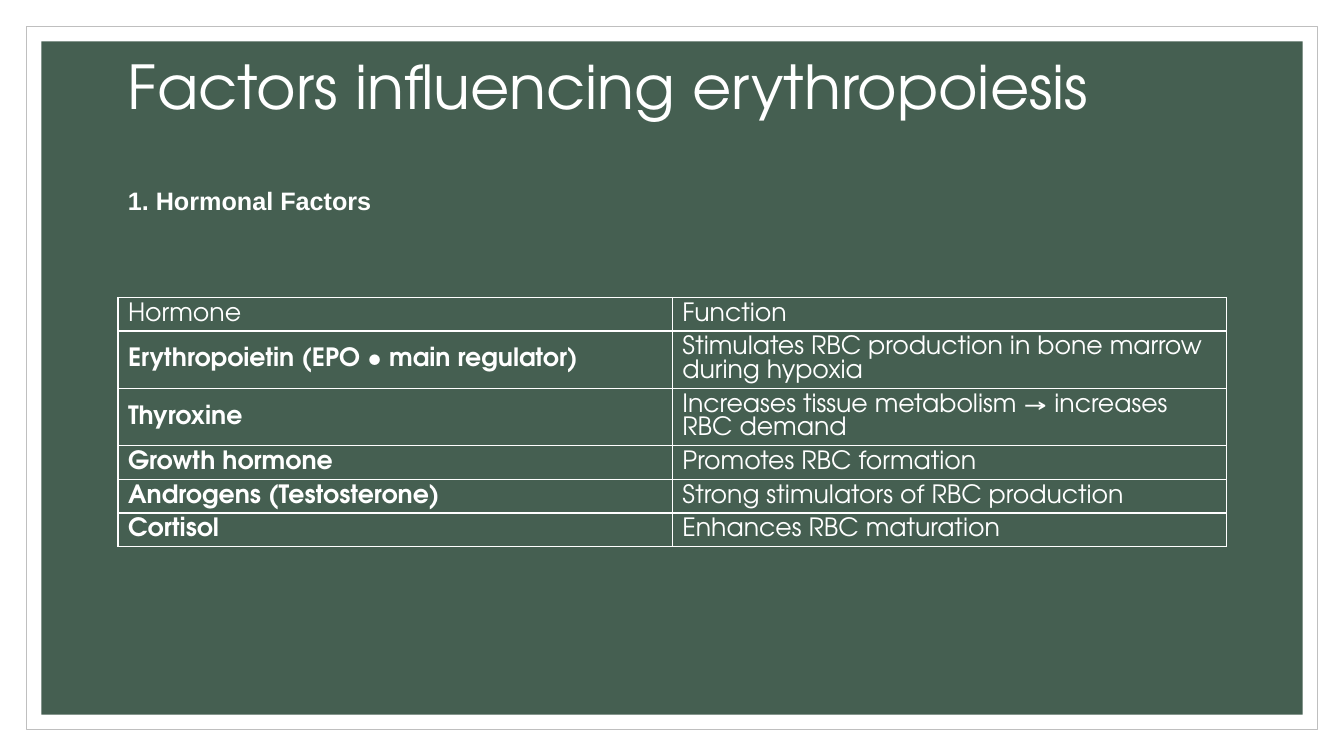
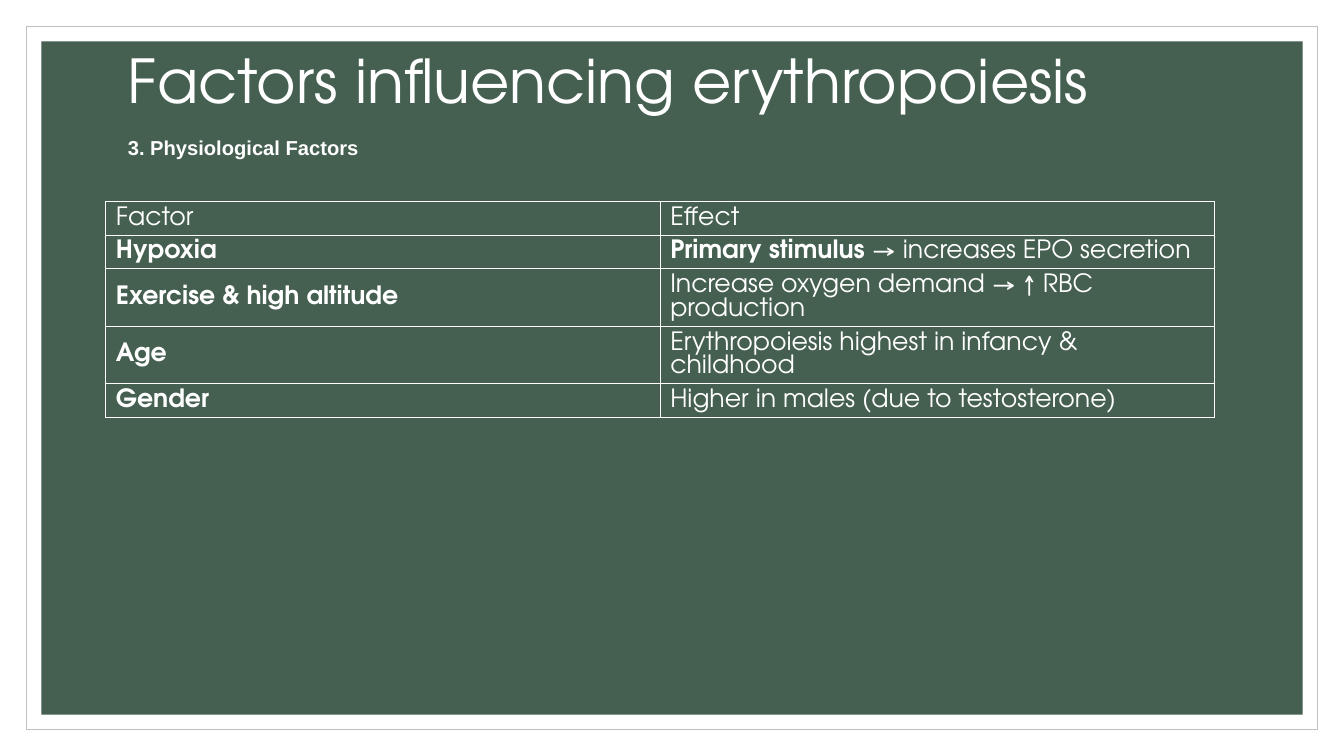
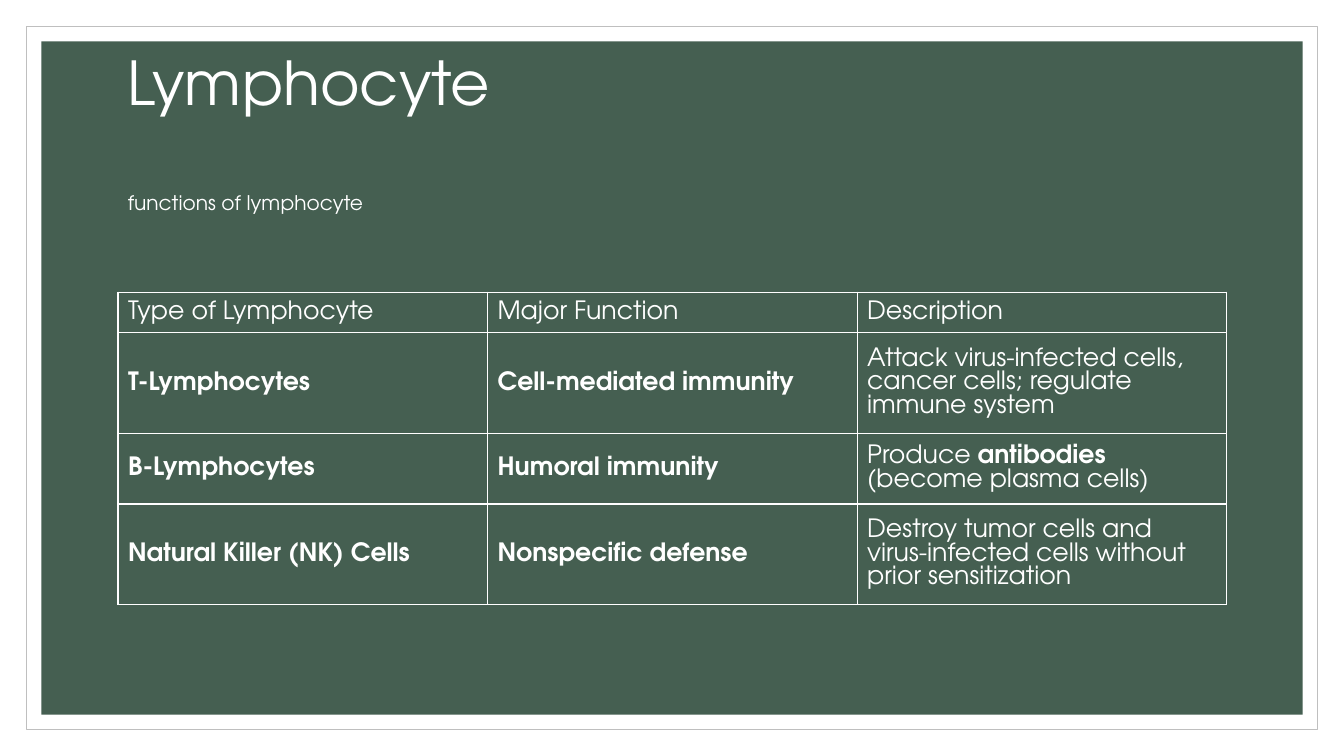
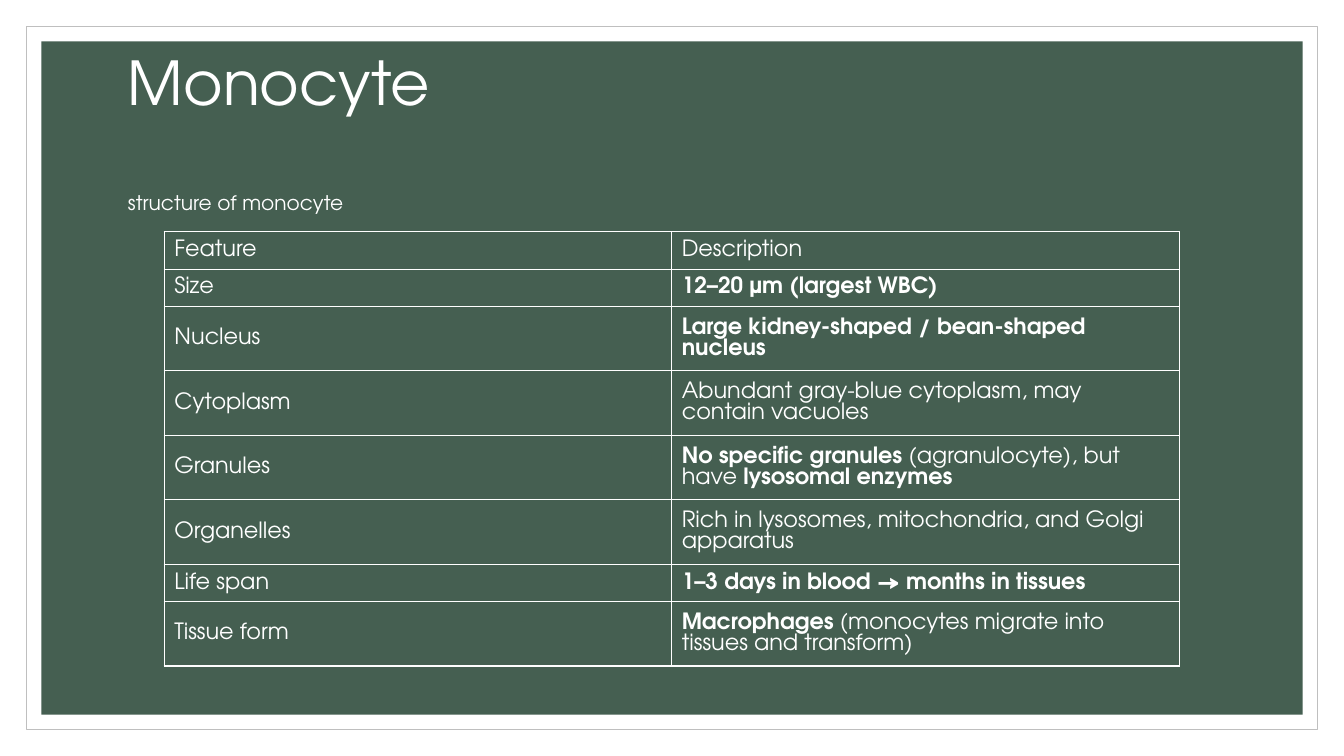
import pptx
import pptx.util
import pptx.dml.color
import pptx.enum.shapes
import pptx.enum.text
import lxml.etree
from pptx.util import Inches

WHITE = pptx.dml.color.RGBColor(0xFF, 0xFF, 0xFF)
GREEN = pptx.dml.color.RGBColor(0x45, 0x5F, 0x51)
GRAY = pptx.dml.color.RGBColor(0xBF, 0xBF, 0xBF)
THEME_FONT = "TeX Gyre Adventor"
SLIDE_WIDTH, SLIDE_HEIGHT = 40 / 3, 7.5
TEXT_LEFT, TEXT_WIDTH = 1.17, 11
CELL_LINE_PITCH = 0.93  # line height in cells, as a share of the text size

# Content: **double stars** mark bold text
SLIDES = [
    {
        "title": "Factors influencing erythropoiesis", "title_top": 0.49,
        "subtitle": "1. Hormonal Factors", "subtitle_top": 1.84,
        "subtitle_format": {"size": 18, "font": "Arial", "bold": True},
        "table_at": (1.17, 2.95), "table_width": 11, "size": 18,
        "row_heights": [0.33, 0.57, 0.57, 0.33, 0.33, 0.33],
        "rows": [
            ("Hormone", "Function"),
            ("**Erythropoietin (EPO • main regulator)**",
             "Stimulates RBC production in bone marrow during hypoxia"),
            ("**Thyroxine**", "Increases tissue metabolism → increases RBC demand"),
            ("**Growth hormone**", "Promotes RBC formation"),
            ("**Androgens (Testosterone)**", "Strong stimulators of RBC production"),
            ("**Cortisol**", "Enhances RBC maturation"),
        ],
    },
    {
        "title": "Factors influencing erythropoiesis", "title_top": 0.43,
        "subtitle": "3. Physiological Factors", "subtitle_top": 1.34,
        "subtitle_format": {"size": 14.4, "font": "Arial", "bold": True},
        "table_at": (1.05, 2), "table_width": 11, "size": 18,
        "row_heights": [0.33, 0.33, 0.57, 0.57, 0.33],
        "rows": [
            ("Factor", "Effect"),
            ("**Hypoxia**", "**Primary stimulus** → increases EPO secretion"),
            ("**Exercise & high altitude**", "Increase oxygen demand → ↑ RBC production"),
            ("**Age**", "Erythropoiesis highest in infancy & childhood"),
            ("**Gender**", "Higher in males (due to testosterone)"),
        ],
    },
    {
        "title": "Lymphocyte", "title_top": 0.45,
        "subtitle": "functions of lymphocyte", "subtitle_top": 1.89,
        "subtitle_format": {"size": 14.4},
        "table_at": (1.17, 2.9), "table_width": 11, "size": 18,
        "row_heights": [0.4, 1, 0.7, 1],
        "rows": [
            ("Type of Lymphocyte", "Major Function", "Description"),
            ("**T-Lymphocytes**", "**Cell-mediated immunity**",
             "Attack virus-infected cells, cancer cells; regulate immune system"),
            ("**B-Lymphocytes**", "**Humoral immunity**",
             "Produce **antibodies** (become plasma cells)"),
            ("**Natural Killer (NK) Cells**", "**Nonspecific defense**",
             "Destroy tumor cells and virus-infected cells without prior sensitization"),
        ],
    },
    {
        "title": "Monocyte", "title_top": 0.45,
        "subtitle": "structure of monocyte", "subtitle_top": 1.89,
        "subtitle_format": {"size": 14.4},
        "table_at": (1.63, 2.3), "table_width": 10.07, "size": 16,
        "row_heights": [0.37, 0.37, 0.64, 0.64, 0.64, 0.64, 0.37, 0.64],
        "rows": [
            ("Feature", "Description"),
            ("Size", "**12–20 µm (largest WBC)**"),
            ("Nucleus", "**Large kidney-shaped / bean-shaped nucleus**"),
            ("Cytoplasm", "Abundant gray-blue cytoplasm, may contain vacuoles"),
            ("Granules", "**No specific granules** (agranulocyte), but have **lysosomal enzymes**"),
            ("Organelles", "Rich in lysosomes, mitochondria, and Golgi apparatus"),
            ("Life span", "**1–3 days in blood → months in tissues**"),
            ("Tissue form", "**Macrophages** (monocytes migrate into tissues and transform)"),
        ],
    },
]


def write_text(text_frame, text, size, font=THEME_FONT, bold=False, line_spacing=None):
    """Fill the first paragraph; parts between double stars are bold."""
    text_frame.word_wrap = True
    paragraph = text_frame.paragraphs[0]
    paragraph.line_spacing = line_spacing
    for index, part in enumerate(text.split("**")):
        if part:
            run = paragraph.add_run()
            run.text = part
            run.font.name = font
            run.font.size = pptx.util.Pt(size)
            run.font.bold = bold or index % 2 == 1
            run.font.color.rgb = WHITE


def add_text_line(slide, text, top, size, **text_format):
    box = slide.shapes.add_textbox(
        Inches(TEXT_LEFT), Inches(top), Inches(TEXT_WIDTH), Inches(size / 72))
    box.text_frame.margin_top = box.text_frame.margin_bottom = 0
    write_text(box.text_frame, text, size, **text_format)


def add_panel(slide, margin, fill, line=None):
    """Rectangle centred on the slide, the same margin on every side."""
    panel = slide.shapes.add_shape(
        pptx.enum.shapes.MSO_SHAPE.RECTANGLE, Inches(margin), Inches(margin),
        Inches(SLIDE_WIDTH - 2 * margin), Inches(SLIDE_HEIGHT - 2 * margin))
    panel.shadow.inherit = False
    panel.fill.solid()
    panel.fill.fore_color.rgb = fill
    if line is None:
        panel.line.fill.background()
    else:
        panel.line.color.rgb = line
        panel.line.width = pptx.util.Pt(0.5)


def add_borders(cell):
    properties = cell._tc.get_or_add_tcPr()
    namespace = "{http://schemas.openxmlformats.org/drawingml/2006/main}"
    for position, side in enumerate(("lnL", "lnR", "lnT", "lnB")):
        border = lxml.etree.Element(namespace + side, w=str(pptx.util.Pt(1)))
        fill = lxml.etree.SubElement(border, namespace + "solidFill")
        lxml.etree.SubElement(fill, namespace + "srgbClr", val=str(WHITE))
        properties.insert(position, border)


def add_grid(slide, rows, row_heights, at, width, size):
    column_count = len(rows[0])
    table = slide.shapes.add_table(
        len(rows), column_count, Inches(at[0]), Inches(at[1]),
        Inches(width), Inches(sum(row_heights))).table
    table.first_row = table.horz_banding = False
    for column in table.columns:
        column.width = Inches(width / column_count)
    for row, height, texts in zip(table.rows, row_heights, rows):
        row.height = Inches(height)
        for cell, text in zip(row.cells, texts):
            cell.fill.background()
            add_borders(cell)
            cell.vertical_anchor = pptx.enum.text.MSO_ANCHOR.MIDDLE
            write_text(cell.text_frame, text, size,
                       line_spacing=pptx.util.Pt(size * CELL_LINE_PITCH))


def main():
    presentation = pptx.Presentation()
    presentation.slide_width = Inches(SLIDE_WIDTH)
    presentation.slide_height = Inches(SLIDE_HEIGHT)
    for content in SLIDES:
        slide = presentation.slides.add_slide(presentation.slide_layouts[6])
        # Frame and green board
        add_panel(slide, 0.26, WHITE, line=GRAY)
        add_panel(slide, 0.41, GREEN)
        # Headings
        add_text_line(slide, content["title"], content["title_top"], 43.2)
        add_text_line(slide, content["subtitle"], content["subtitle_top"],
                      **content["subtitle_format"])
        # Table
        add_grid(slide, content["rows"], content["row_heights"],
                 content["table_at"], content["table_width"], content["size"])
    presentation.save("out.pptx")


if __name__ == "__main__":
    main()
